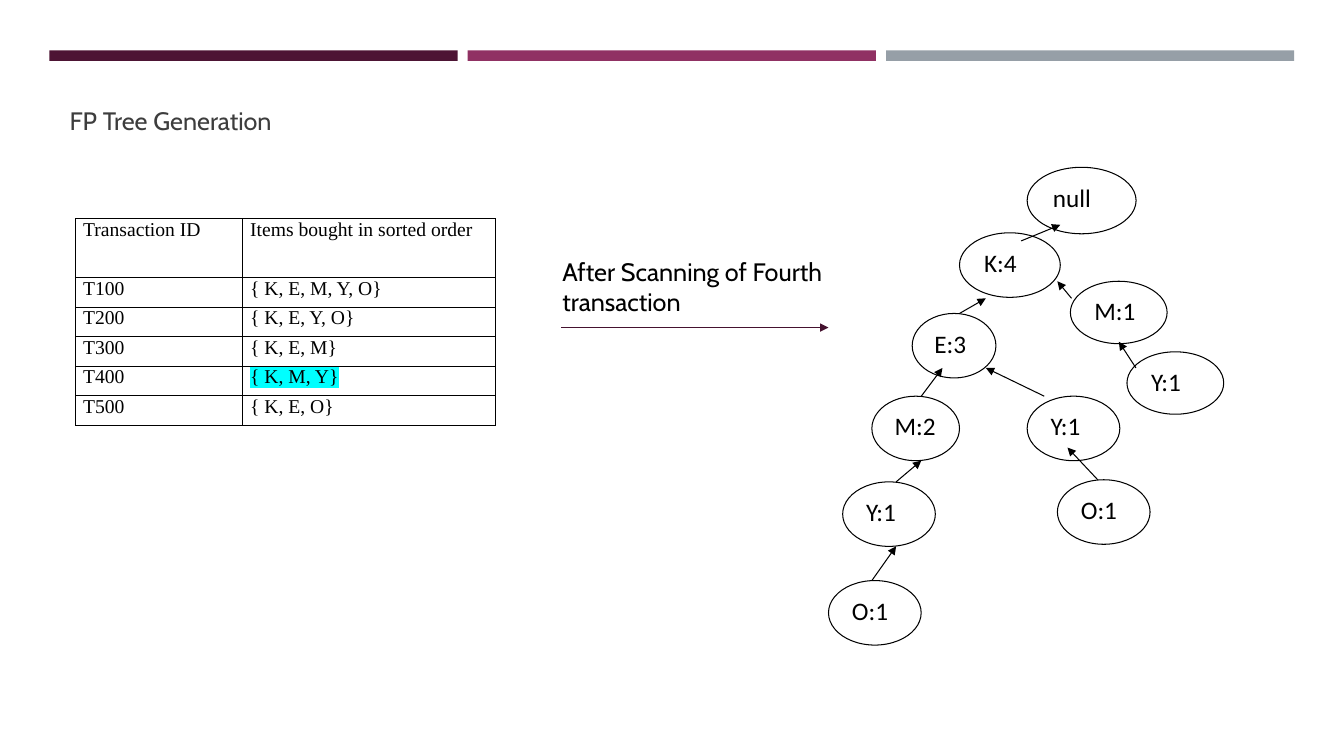
from dataclasses import dataclass

from lxml import etree
from pptx import Presentation
from pptx.dml.color import RGBColor
from pptx.enum.shapes import MSO_CONNECTOR, MSO_SHAPE
from pptx.enum.text import MSO_ANCHOR, MSO_AUTO_SIZE, PP_ALIGN
from pptx.oxml.ns import qn
from pptx.util import Pt

RECTANGLE = MSO_SHAPE.RECTANGLE
ELLIPSE = MSO_SHAPE.OVAL
STRAIGHT = MSO_CONNECTOR.STRAIGHT
TOP = MSO_ANCHOR.TOP
LEFT = PP_ALIGN.LEFT
NO_AUTOFIT = MSO_AUTO_SIZE.NONE

BLACK, WHITE, CYAN = "000000", "FFFFFF", "00FFFF"
TITLE_ONLY_LAYOUT = 5


@dataclass
class Bar:
    left: float
    color: str


@dataclass
class Node:
    label: str
    left: float
    top: float
    width: float
    height: float = 46.1


@dataclass
class Arrow:
    start_x: float
    start_y: float
    end_x: float
    end_y: float
    color: str = BLACK
    weight: float = 0.75


BARS = [Bar(35.3, "4D1434"), Bar(334.1, "903163"), Bar(632.9, "969FA7")]

NODES = [
    Node("M:1", 764.6, 200.9, 69.1, 44.6),
    Node("Y:1", 805, 251.3, 69.1, 44.6),
    Node("null", 733.7, 119.5, 77.8, 47.5),
    Node("K:4", 685.4, 166.3, 72),
    Node("E:3", 651.6, 223.9, 59.8),
    Node("M:2", 622.8, 283, 62.6),
    Node("Y:1", 601.9, 344.2, 66.2),
    Node("O:1", 591.8, 414.7, 66.2),
    Node("Y:1", 733.7, 283, 66.2),
    Node("O:1", 755.3, 342.7, 66.2),
]

ARROWS = [
    Arrow(401, 234, 591.8, 234, "45122F", 1),
    Arrow(811.4, 262.8, 799.2, 244.1),
    Arrow(765.4, 213.1, 755.3, 200.9),
    Arrow(729.4, 172.1, 757.4, 160.6),
    Arrow(685.4, 223.9, 704.2, 213.1),
    Arrow(658.1, 283, 673.2, 262.8),
    Arrow(640.1, 344.2, 658.1, 329),
    Arrow(622.8, 414.7, 640.1, 390.2),
    Arrow(784.1, 342.7, 762.5, 319.7),
    Arrow(745.9, 283, 704.2, 262.8),
]

TRANSACTIONS = [
    ("Transaction ID", "Items bought in sorted order"),
    ("T100", "{ K, E, M, Y, O}"),
    ("T200", "{ K, E, Y, O}"),
    ("T300", "{ K, E, M}"),
    ("T400", "{ K, M, Y}"),
    ("T500", "{ K, E, O}"),
]
SCANNED_ITEMS = "{ K, M, Y}"
COLUMN_WIDTHS = (119.3, 180.9)
HEADER_HEIGHT, ROW_HEIGHT = 42.2, 21.1


def rgb(color: str) -> RGBColor:
    return RGBColor.from_string(color)


def add_color_fill(parent, color: str) -> None:
    fill = etree.SubElement(parent, qn("a:solidFill"))
    etree.SubElement(fill, qn("a:srgbClr"), val=color)


def write_text(text_frame, text: str, *, font: str, size: float = 18, color: str = BLACK,
               space_after: float = 0, highlight: str = "") -> None:
    text_frame.word_wrap = True
    text_frame.vertical_anchor = TOP
    paragraph = text_frame.paragraphs[0]
    paragraph.alignment = LEFT
    paragraph.space_before = Pt(0)
    paragraph.space_after = Pt(space_after)
    run = paragraph.add_run()
    run.text = text
    run.font.name = font
    run.font.size = Pt(size)
    run.font.color.rgb = rgb(color)
    if highlight:
        marker = etree.Element(qn("a:highlight"))
        etree.SubElement(marker, qn("a:srgbClr"), val=highlight)
        run.font._element.find(qn("a:solidFill")).addnext(marker)


def add_bar(slide, bar: Bar) -> None:
    shape = slide.shapes.add_shape(RECTANGLE, Pt(bar.left), Pt(36), Pt(291.6), Pt(7.5))
    shape.shadow.inherit = False
    shape.fill.solid()
    shape.fill.fore_color.rgb = rgb(bar.color)
    shape.line.fill.background()


def add_title(slide) -> None:
    title = slide.shapes.title
    title.left, title.top, title.width, title.height = Pt(42.5), Pt(71.3), Pt(295.2), Pt(95.8)
    title.text_frame.auto_size = NO_AUTOFIT
    write_text(title.text_frame, "FP Tree Generation", font="Cabin", color="3D3D3D",
               space_after=6)


def add_caption(slide) -> None:
    box = slide.shapes.add_textbox(Pt(394.6), Pt(179.3), Pt(222.5), Pt(51.1))
    write_text(box.text_frame, "After Scanning of Fourth transaction", font="Cabin")


def add_node(slide, node: Node) -> None:
    shape = slide.shapes.add_shape(
        ELLIPSE, Pt(node.left), Pt(node.top), Pt(node.width), Pt(node.height))
    shape.shadow.inherit = False
    shape.fill.solid()
    shape.fill.fore_color.rgb = rgb(WHITE)
    shape.line.color.rgb = rgb(BLACK)
    shape.line.width = Pt(0.75)
    shape.text_frame.margin_right = 0
    write_text(shape.text_frame, node.label, font="Calibri", space_after=10)


def add_arrow(slide, arrow: Arrow) -> None:
    connector = slide.shapes.add_connector(
        STRAIGHT, Pt(arrow.start_x), Pt(arrow.start_y), Pt(arrow.end_x), Pt(arrow.end_y))
    connector.line.color.rgb = rgb(arrow.color)
    connector.line.width = Pt(arrow.weight)
    properties = connector._element.spPr
    etree.SubElement(properties.find(qn("a:ln")), qn("a:tailEnd"), type="triangle")
    etree.SubElement(properties, qn("a:effectLst"))


def add_borders(cell) -> None:
    properties = cell._tc.get_or_add_tcPr()
    for position, side in enumerate(("L", "R", "T", "B")):
        border = etree.Element(qn(f"a:ln{side}"), w=str(Pt(1)))
        add_color_fill(border, BLACK)
        properties.insert(position, border)


def add_transaction_table(slide) -> None:
    frame = slide.shapes.add_table(
        len(TRANSACTIONS), len(COLUMN_WIDTHS), Pt(54), Pt(156.2), Pt(sum(COLUMN_WIDTHS)),
        Pt(HEADER_HEIGHT + ROW_HEIGHT * (len(TRANSACTIONS) - 1)))
    table = frame.table
    table.first_row = table.horz_banding = False
    for column, width in zip(table.columns, COLUMN_WIDTHS):
        column.width = Pt(width)
    for row_index, (row, texts) in enumerate(zip(table.rows, TRANSACTIONS)):
        row.height = Pt(ROW_HEIGHT if row_index else HEADER_HEIGHT)
        for cell, text in zip(row.cells, texts):
            cell.margin_left = cell.margin_right = Pt(5.4)
            cell.margin_top = cell.margin_bottom = 0
            cell.fill.background()
            add_borders(cell)
            write_text(cell.text_frame, text, font="Times New Roman", size=14,
                       highlight=CYAN if text == SCANNED_ITEMS else "")


def main() -> None:
    presentation = Presentation()
    presentation.slide_width, presentation.slide_height = Pt(960), Pt(540)
    slide = presentation.slides.add_slide(presentation.slide_layouts[TITLE_ONLY_LAYOUT])
    for bar in BARS:
        add_bar(slide, bar)
    add_title(slide)
    add_transaction_table(slide)
    add_caption(slide)
    for node in NODES:
        add_node(slide, node)
    for arrow in ARROWS:
        add_arrow(slide, arrow)
    presentation.save("out.pptx")


if __name__ == "__main__":
    main()
